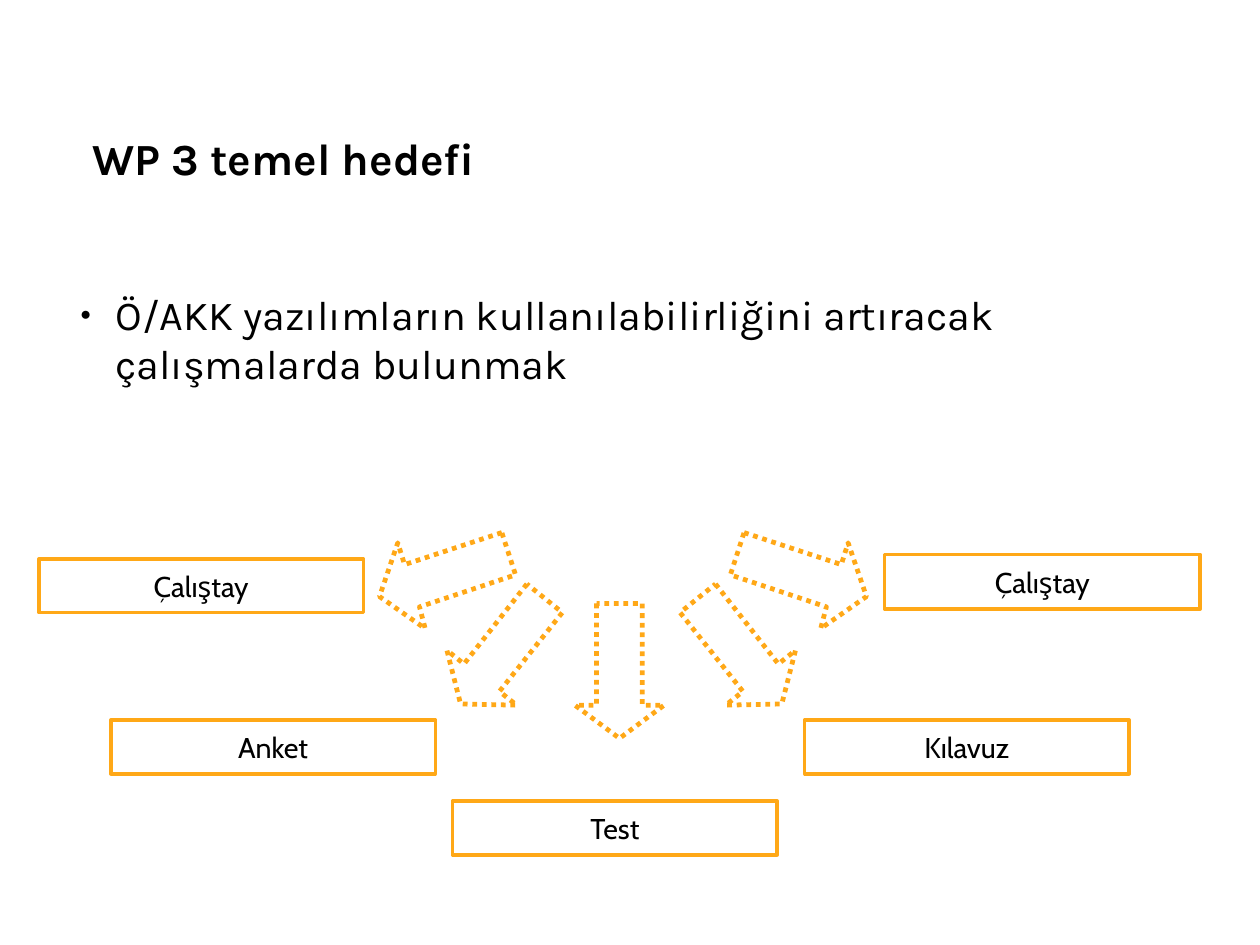
from pptx import Presentation
from pptx.dml.color import RGBColor
from pptx.enum.dml import MSO_LINE
from pptx.enum.shapes import MSO_SHAPE
from pptx.enum.text import MSO_ANCHOR, MSO_AUTO_SIZE, PP_ALIGN
from pptx.oxml.ns import qn
from pptx.util import Inches, Pt
from lxml import etree

RECT = MSO_SHAPE.RECTANGLE
DOTTED = MSO_LINE.ROUND_DOT
MIDDLE = MSO_ANCHOR.MIDDLE
NO_FIT = MSO_AUTO_SIZE.NONE
LEFT, CENTER = PP_ALIGN.LEFT, PP_ALIGN.CENTER


class Theme:
    text = RGBColor(0x00, 0x00, 0x00)
    accent = RGBColor(0xFF, 0xA8, 0x17)
    heading_font, label_font = "Karla", "Cabin"
    title_size, body_size, label_size = Pt(28), Pt(26), Pt(18)
    box_line, arrow_line = Pt(2.25), Pt(3)


def write(sp, text, font, size, align, bold=False):
    tf = sp.text_frame
    tf.word_wrap = True
    tf.auto_size = NO_FIT
    tf.vertical_anchor = MIDDLE
    p = tf.paragraphs[0]
    p.alignment = align
    p.space_before = p.space_after = Pt(0)
    r = p.add_run()
    r.text = text
    r.font.name, r.font.size, r.font.bold = font, size, bold
    r.font.color.rgb = Theme.text
    return p


def outline(sp, width):
    sp.shadow.inherit = False
    sp.fill.background()
    sp.line.color.rgb = Theme.accent
    sp.line.width = width


# Slide of 28 by 21 centimetres
prs = Presentation()
prs.slide_width, prs.slide_height = Inches(28 / 2.54), Inches(21 / 2.54)
s = prs.slides.add_slide(prs.slide_layouts[1])

# Title and body placeholders
title, body = s.shapes.title, s.placeholders[1]
for sp, (x, y, w, h) in ((title, (0.81, 0.69, 9.41, 1.38)),
                         (body, (0.7, 1.81, 9.65, 2.3))):
    sp.left, sp.top, sp.width, sp.height = Inches(x), Inches(y), Inches(w), Inches(h)
    tf = sp.text_frame
    tf.margin_left = tf.margin_right = tf.margin_top = tf.margin_bottom = 0

write(title, "WP 3 temel hedefi", Theme.heading_font, Theme.title_size, LEFT, True)
p = write(body, "Ö/AKK yazılımların kullanılabilirliğini artıracak çalışmalarda bulunmak",
          Theme.heading_font, Theme.body_size, LEFT)

# Small round bullet with a hanging indent
pPr = p._p.get_or_add_pPr()
pPr.set("marL", str(Inches(0.31)))
pPr.set("indent", str(-Inches(0.31)))
etree.SubElement(pPr, qn("a:buSzPct")).set("val", "45000")
etree.SubElement(pPr, qn("a:buChar")).set("char", "●")

# Dotted arrows: one down, and two on the left mirrored to the right
down = [(5.22, 5.28), (5.22, 6.17), (5.03, 6.17), (5.42, 6.46),
        (5.81, 6.17), (5.62, 6.17), (5.62, 5.28)]
steep = [(4.61, 5.11), (4.06, 5.81), (3.91, 5.69), (4.03, 6.16),
         (4.52, 6.17), (4.37, 6.05), (4.92, 5.36)]
flat = [(4.39, 4.66), (3.54, 4.94), (3.48, 4.75), (3.32, 5.22),
        (3.72, 5.5), (3.67, 5.31), (4.51, 5.03)]
arrows = [down, steep, flat]
for arrow, mirror_sum in ((steep, 10.87), (flat, 10.9)):
    arrows.append([(mirror_sum - x, y) for x, y in arrow])

for arrow in arrows:
    points = [(Inches(x), Inches(y)) for x, y in arrow]
    builder = s.shapes.build_freeform(*points[0])
    builder.add_line_segments(points[1:], close=True)
    sp = builder.convert_to_shape()
    outline(sp, Theme.arrow_line)
    sp.line.dash_style = DOTTED

# Labelled boxes
boxes = [("Çalıştay", 0.34, 4.89, 2.84, 0.47),
         ("Anket", 0.97, 6.3, 2.84, 0.47),
         ("Test", 3.96, 7.01, 2.84, 0.47),
         ("Çalıştay", 7.74, 4.85, 2.76, 0.48),
         ("Kılavuz", 7.04, 6.3, 2.84, 0.47)]
for label, x, y, w, h in boxes:
    sp = s.shapes.add_shape(RECT, Inches(x), Inches(y), Inches(w), Inches(h))
    outline(sp, Theme.box_line)
    p = write(sp, label, Theme.label_font, Theme.label_size, CENTER)
    p.line_spacing = 1.01

prs.save("out.pptx")
